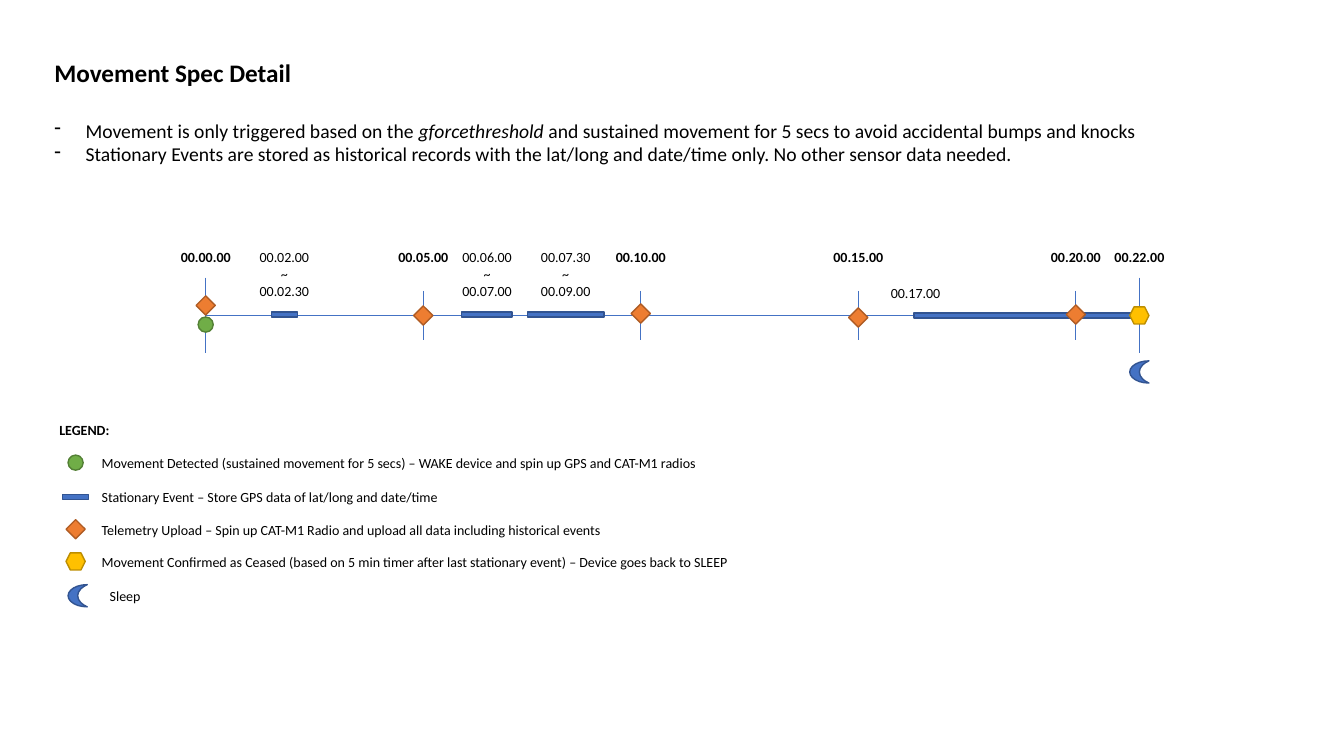
"""Build the movement timeline slide with its heading and legend."""
from lxml import etree
from pptx import Presentation
from pptx import util as u
from pptx.dml.color import RGBColor
from pptx.enum import shapes, text
from pptx.oxml import ns

COLORS = {
    "text": "000000",
    "blue": "4472C4", "blue_edge": "325491",
    "orange": "ED7D31", "orange_edge": "AF5C24",
    "green": "70AD47", "green_edge": "538035",
    "yellow": "FFC000", "yellow_edge": "BD8E00",
}
FONT = "Calibri"
KIND = shapes.MSO_SHAPE
MARKERS = {
    "detected": (KIND.OVAL, "green", 0.15, 0.15),
    "stationary": (KIND.RECTANGLE, "blue", 0.26, 0.05),
    "upload": (KIND.DIAMOND, "orange", 0.19, 0.19),
    "ceased": (KIND.HEXAGON, "yellow", 0.19, 0.17),
    "sleep": (KIND.MOON, "blue", 0.19, 0.22),
}


def color(name):
    return RGBColor.from_string(COLORS[name])


def add_runs(paragraph, runs, size=10, bold=False, align=None):
    paragraph.alignment = align
    for content, italic in runs:
        run = paragraph.add_run()
        run.text = content
        run.font.name = FONT
        run.font.size = u.Pt(size)
        run.font.bold = bold
        run.font.italic = italic
        run.font.color.rgb = color("text")


def add_text(slide, box, lines, **style):
    shape = slide.shapes.add_textbox(*map(u.Inches, box))
    frame = shape.text_frame
    frame.word_wrap = True
    frame.auto_size = text.MSO_AUTO_SIZE.SHAPE_TO_FIT_TEXT
    for index, line in enumerate(lines):
        paragraph = frame.add_paragraph() if index else frame.paragraphs[0]
        add_runs(paragraph, [(line, False)], **style)
    return frame


def add_line(slide, start, end):
    line = slide.shapes.add_connector(shapes.MSO_CONNECTOR.STRAIGHT, *map(u.Inches, (*start, *end)))
    line.line.color.rgb = color("blue")
    line.line.width = u.Pt(0.5)
    etree.SubElement(line._element.spPr, ns.qn("a:effectLst"))


def add_marker(slide, name, center_x, center_y, width=None):
    kind, fill, default_width, height = MARKERS[name]
    width = width or default_width
    box = (center_x - width / 2, center_y - height / 2, width, height)
    shape = slide.shapes.add_shape(kind, *map(u.Inches, box))
    shape.shadow.inherit = False
    shape.fill.solid()
    shape.fill.fore_color.rgb = color(fill)
    shape.line.color.rgb = color(fill + "_edge")
    shape.line.width = u.Pt(1)


def add_heading(slide, box):
    frame = add_text(slide, box, ["Movement Spec Detail"], size=18, bold=True)
    bullets = [
        [("Movement is only triggered based on the ", False), ("gforcethreshold", True),
         (" and sustained movement for 5 secs to avoid accidental bumps and knocks", False)],
        [("Stationary Events are stored as historical records with the lat/long and "
          "date/time only. No other sensor data needed.", False)],
    ]
    for index, runs in enumerate(bullets):
        paragraph = frame.add_paragraph()
        add_runs(paragraph, runs, size=14)
        paragraph.space_before = u.Pt(0 if index else 22)
        properties = paragraph._p.get_or_add_pPr()
        properties.set("marL", str(u.Inches(0.31)))
        properties.set("indent", str(-u.Inches(0.31)))
        etree.SubElement(properties, ns.qn("a:buChar")).set("char", "-")


def add_time(slide, center_x, top, lines, bold=False):
    box = (center_x - 0.36, top, 0.72, 0.27 if len(lines) == 1 else 0.61)
    add_text(slide, box, lines, bold=bold, align=text.PP_ALIGN.CENTER)


def add_timeline(slide, box):
    left, top, width, height = box
    right, axis = left + width, top + 0.71
    five_minutes = 2.1575
    ticks = [(5 * step, left + step * five_minutes) for step in range(5)] + [(22, right)]
    add_line(slide, (left, axis), (right, axis))
    for minute, x in ticks:
        reach = 0.375 if x in (left, right) else 0.245
        add_line(slide, (x, axis - reach), (x, axis + reach))
        add_time(slide, x, top, [f"00.{minute:02}.00"], bold=True)

    stops = [
        (0.78, 0.26, ["00.02.00~", "00.02.30"]),
        (2.79, 0.5, ["00.06.00~", "00.07.00"]),
        (3.57, 0.76, ["00.07.30~", "00.09.00"]),
    ]
    for x, length, times in stops:
        add_time(slide, left + x, top, times)
        add_marker(slide, "stationary", left + x, axis - 0.01, length)
    add_time(slide, left + 7.04, top + 0.35, ["00.17.00"])
    add_marker(slide, "stationary", left + 8.14, axis, 2.23)

    add_marker(slide, "detected", left, axis + 0.09)
    add_marker(slide, "ceased", right, axis)
    shifts = (-0.1, 0, -0.02, 0.02, -0.01)
    for (minute, x), shift in zip(ticks, shifts):
        add_marker(slide, "upload", x, axis + shift)
    add_marker(slide, "sleep", right, top + height - 0.11)


def add_legend(slide, box):
    left, top, width, height = box
    add_text(slide, (left, top, 0.72, 0.27), ["LEGEND:"], bold=True)
    entries = [
        ("detected", 0.46, 0.42, "Movement Detected (sustained movement for 5 secs) – "
         "WAKE device and spin up GPS and CAT-M1 radios"),
        ("stationary", 0.8, 0.42, "Stationary Event – Store GPS data of lat/long and date/time"),
        ("upload", 1.12, 0.42, "Telemetry Upload – Spin up CAT-M1 Radio and upload all data "
         "including historical events"),
        ("ceased", 1.44, 0.42, "Movement Confirmed as Ceased (based on 5 min timer after last "
         "stationary event) – Device goes back to SLEEP"),
        ("sleep", 1.78, 0.5, "Sleep"),
    ]
    for (name, y, indent, label) in entries:
        add_marker(slide, name, left + indent - 0.16 - (0.06 if name == "sleep" else 0), top + y)
        add_text(slide, (left + indent, top + y - 0.13, width - indent, 0.27), [label])


def main():
    presentation = Presentation()
    presentation.slide_width = u.Inches(13.33)
    presentation.slide_height = u.Inches(7.5)
    slide = presentation.slides.add_slide(presentation.slide_layouts[6])
    add_heading(slide, (0.44, 0.52, 12.46, 1.65))
    add_timeline(slide, (2.04, 2.42, 9.26, 1.38))
    add_legend(slide, (0.49, 4.13, 7.44, 1.92))
    presentation.save("out.pptx")


main()
